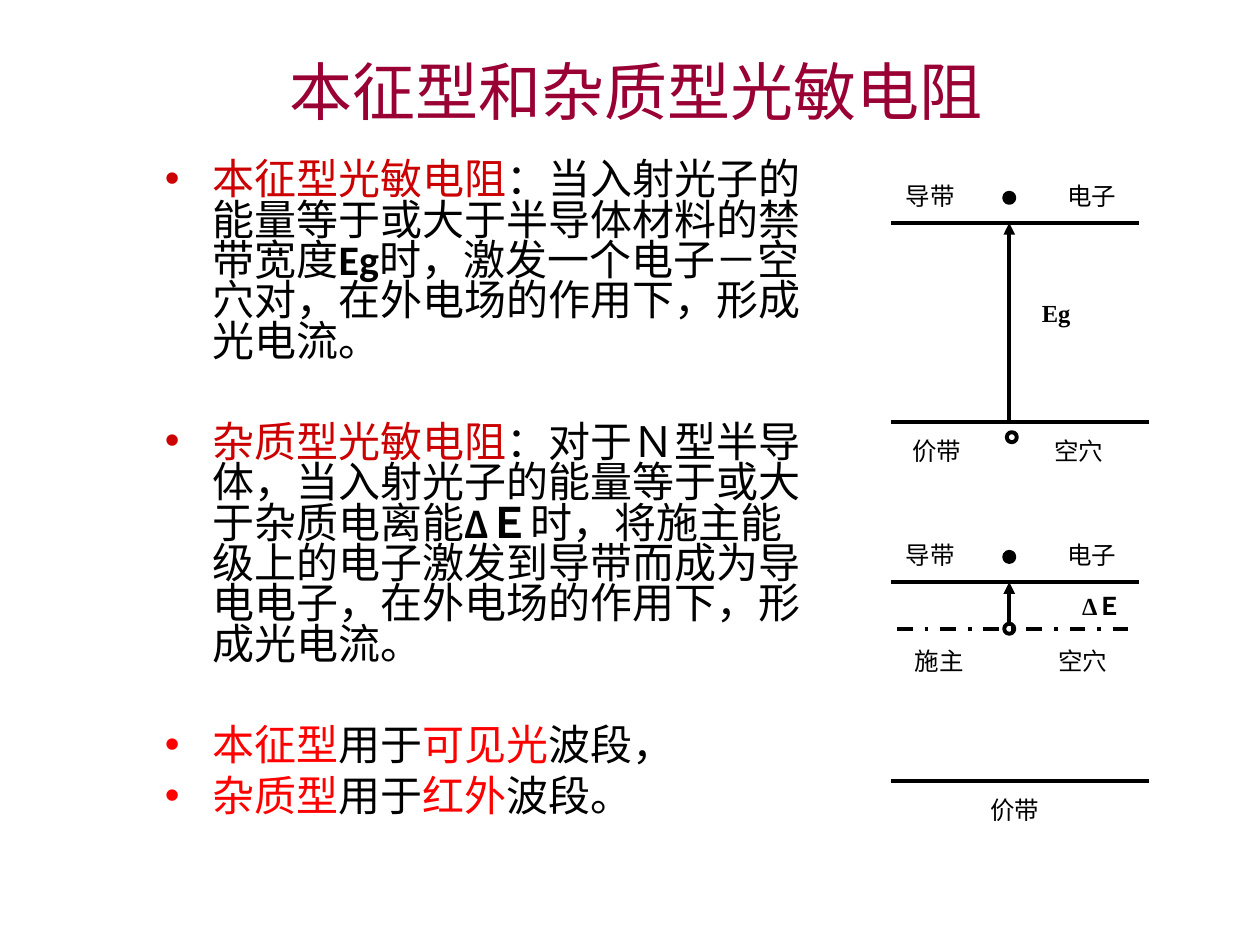
from dataclasses import dataclass

from lxml.etree import SubElement
from pptx import Presentation
from pptx.dml.color import RGBColor
from pptx.enum.dml import MSO_LINE
from pptx.enum.shapes import MSO_CONNECTOR, MSO_SHAPE
from pptx.enum.text import MSO_ANCHOR, PP_ALIGN
from pptx.oxml.ns import qn
from pptx.util import Inches, Pt


@dataclass(frozen=True)
class Theme:
    black: str = "000000"
    wine: str = "990033"
    brick: str = "CC0000"
    red: str = "FF0000"
    sans: str = "Calibri"
    serif: str = "Times New Roman"
    title: int = 36
    body: int = 24
    label: int = 14
    stroke: float = 2.25


THEME = Theme()
MID = 8.01  # x of the electron, the jump arrow and the hole
DROP = 2.85  # from the first band diagram to the second


def color(code):
    return RGBColor.from_string(code)


def add_run(para, text, *, size, font=THEME.sans, hue=THEME.black, bold=False):
    run = para.add_run()
    run.text = text
    run.font.size = Pt(size)
    run.font.name = font
    run.font.bold = bold
    run.font.color.rgb = color(hue)


def add_box(shapes, left, top, width, height):
    frame = shapes.add_textbox(
        Inches(left), Inches(top), Inches(width), Inches(height)).text_frame
    frame.word_wrap = True
    return frame


def add_bullet(para, hue):
    props = para._p.get_or_add_pPr()
    indent = Inches(0.38)
    props.set("marL", str(indent))
    props.set("indent", str(-indent))
    tint = SubElement(props, qn("a:buClr"))
    SubElement(tint, qn("a:srgbClr")).set("val", hue)
    SubElement(props, qn("a:buFont")).set("typeface", "Arial")
    SubElement(props, qn("a:buChar")).set("char", "•")


def add_title(shapes, text):
    frame = add_box(shapes, 1.26, 0.35, 7.58, 0.73)
    frame.vertical_anchor = MSO_ANCHOR.MIDDLE
    para = frame.paragraphs[0]
    para.alignment = PP_ALIGN.CENTER
    add_run(para, text, size=THEME.title, hue=THEME.wine)


def add_body(shapes, items):
    """Each item is its space before, its bullet colour and its runs."""
    frame = add_box(shapes, 1.21, 1.24, 5.29, 5.71)
    for i, (gap, hue, runs) in enumerate(items):
        para = frame.add_paragraph() if i else frame.paragraphs[0]
        add_bullet(para, hue)
        para.line_spacing = 0.8
        para.space_before = Pt(gap)
        for text, style in runs:
            add_run(para, text, size=THEME.body, **style)


def add_label(shapes, text, left, top, width=0.69, bold=False):
    frame = add_box(shapes, left, top, width, 0.34)
    add_run(frame.paragraphs[0], text, size=THEME.label,
            font=THEME.serif, bold=bold)


def add_line(shapes, start, end, dash=None, arrow=False):
    points = [Inches(n) for n in (*start, *end)]
    link = shapes.add_connector(MSO_CONNECTOR.STRAIGHT, *points)
    link.line.width = Pt(THEME.stroke)
    link.line.color.rgb = color(THEME.black)
    if dash:
        link.line.dash_style = dash
    if arrow:
        SubElement(link.line._get_or_add_ln(), qn("a:tailEnd")).set(
            "type", "triangle")
    SubElement(link._element.spPr, qn("a:effectLst"))


def add_dot(shapes, left, top, solid):
    dot = shapes.add_shape(MSO_SHAPE.OVAL, Inches(left), Inches(top),
                           Inches(0.08), Inches(0.08))
    dot.shadow.inherit = False
    dot.line.width = Pt(THEME.stroke)
    dot.line.color.rgb = color(THEME.black)
    if solid:
        dot.fill.solid()
        dot.fill.fore_color.rgb = color(THEME.black)
    else:
        dot.fill.background()


def add_bands(shapes, top):
    """Draw both band edges and the electron; top is the upper edge."""
    add_line(shapes, (7.07, top), (9.04, top))
    add_line(shapes, (7.07, top + 1.58), (9.12, top + 1.58))
    add_dot(shapes, 7.97, top - 0.24, True)
    add_label(shapes, "导带", 7.09, top - 0.38)
    add_label(shapes, "电子", 8.37, top - 0.38)


def add_pure(shapes, top):
    base = top + 1.58
    add_bands(shapes, top)
    add_line(shapes, (MID, base), (MID, top), arrow=True)
    add_dot(shapes, 7.99, base + 0.08, False)
    add_label(shapes, "价带", 7.14, base + 0.06)
    add_label(shapes, "空穴", 8.27, base + 0.06)
    add_label(shapes, "Eg", 8.17, top + 0.55, width=0.49, bold=True)


def add_doped(shapes, top):
    donor = top + 0.37
    add_dot(shapes, 7.97, donor - 0.04, False)
    add_bands(shapes, top)
    add_line(shapes, (MID, donor - 0.02), (MID, top), arrow=True)
    add_line(shapes, (7.12, donor), (8.99, donor), dash=MSO_LINE.DASH_DOT)
    add_label(shapes, "施主", 7.16, donor + 0.09)
    add_label(shapes, "空穴", 8.3, donor + 0.09)
    add_label(shapes, "ΔＥ", 8.49, top + 0.02, width=0.64, bold=True)
    add_label(shapes, "价带", 7.76, top + 1.64)


def main():
    deck = Presentation()
    deck.slide_width, deck.slide_height = Inches(10), Inches(7.5)
    shapes = deck.slides.add_slide(deck.slide_layouts[6]).shapes

    plain, bold = {}, {"bold": True}
    brick, red = {"hue": THEME.brick}, {"hue": THEME.red}
    add_title(shapes, "本征型和杂质型光敏电阻")
    add_body(shapes, [
        (0, THEME.brick, [
            ("本征型光敏电阻", brick),
            ("：当入射光子的能量等于或大于半导体材料的禁带宽度", plain),
            ("Eg", bold),
            ("时，激发一个电子－空穴对，在外电场的作用下，形成光电流。", plain)]),
        (35, THEME.brick, [
            ("杂质型光敏电阻", brick),
            ("：对于Ｎ型半导体，当入射光子的能量等于或大于杂质电离能", plain),
            ("ΔＥ", bold),
            ("时，将施主能级上的电子激发到导带而成为导电电子，"
             "在外电场的作用下，形成光电流。", plain)]),
        (35, THEME.red, [
            ("本征型", red), ("用于", plain),
            ("可见光", red), ("波段，", plain)]),
        (6, THEME.red, [
            ("杂质型", red), ("用于", plain),
            ("红外", red), ("波段。", plain)]),
    ])
    for i, draw in enumerate((add_pure, add_doped)):
        draw(shapes.add_group_shape().shapes, 1.77 + i * DROP)
    deck.save("out.pptx")


if __name__ == "__main__":
    main()
